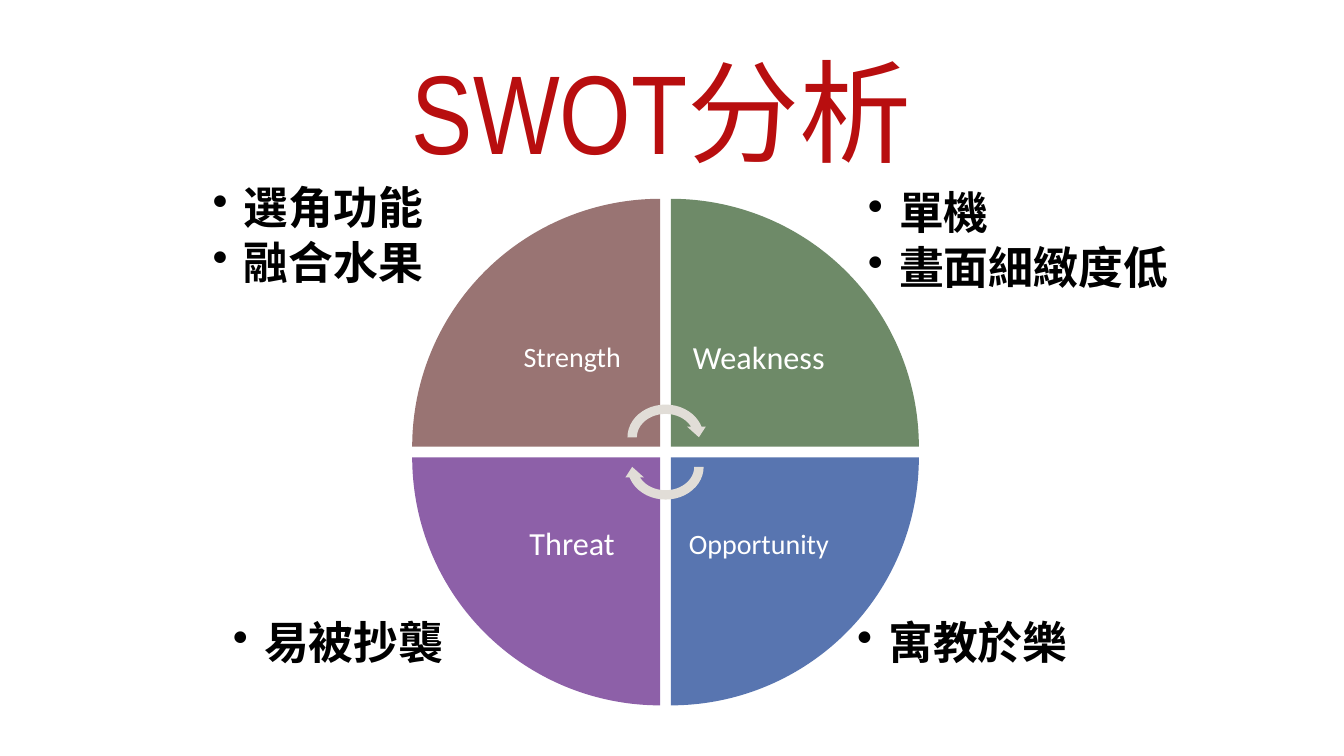
from dataclasses import dataclass

from lxml import etree
from pptx import Presentation
from pptx import util as u
from pptx.dml.color import RGBColor
from pptx.enum import shapes, text
from pptx.oxml import ns

WIDTH, HEIGHT = u.Inches(13.33), u.Inches(7.5)

RED = RGBColor(0xB8, 0x0E, 0x0F)
BROWN = RGBColor(0x99, 0x74, 0x73)
GREEN = RGBColor(0x6E, 0x8A, 0x68)
BLUE = RGBColor(0x58, 0x75, 0xB0)
PURPLE = RGBColor(0x8D, 0x60, 0xA8)
SAND = RGBColor(0xE1, 0xDD, 0xD7)
WHITE = RGBColor(0xFF, 0xFF, 0xFF)
BLACK = RGBColor(0, 0, 0)

# The wheel: its centre, and sizes as shares of the slide's height
CENTRE_X, CENTRE_Y = int(WIDTH * 0.4952), int(HEIGHT * 0.598)
WEDGE = int(HEIGHT * 0.328)
LABEL = int(HEIGHT * 0.233)
HALF_GAP = int(HEIGHT * 0.007)
ARROW_WIDTH, ARROW_HEIGHT = int(HEIGHT * 0.113), int(HEIGHT * 0.099)
ARROW_SHIFT = int(HEIGHT * 0.0195)


@dataclass(frozen=True)
class Quadrant:
    """One SWOT quarter; findings_area holds shares of the slide's width and height."""
    name: str
    name_size: int
    colour: RGBColor
    column: int
    row: int
    rotation: int
    inset: float
    findings: tuple[str, ...]
    findings_area: tuple[float, float, float, float]


QUADRANTS = (
    Quadrant("Strength", 20, BROWN, 0, 0, 0, 0.16, ("選角功能", "融合水果"),
             (0.1485, 0.228, 0.232, 0.171)),
    Quadrant("Weakness", 23, GREEN, 1, 0, 90, 0.18, ("單機", "畫面細緻度低"),
             (0.636, 0.235, 0.252, 0.181)),
    Quadrant("Opportunity", 20, BLUE, 1, 1, 180, 0.16, ("寓教於樂",),
             (0.628, 0.804, 0.256, 0.171)),
    Quadrant("Threat", 23, PURPLE, 0, 1, 270, 0.18, ("易被抄襲",),
             (0.1635, 0.804, 0.211, 0.171)),
)


def inner_corner(quadrant: Quadrant, side: int) -> tuple[int, ...]:
    """Left and top of a square that touches the wheel's centre gap."""
    return tuple(
        middle + HALF_GAP if index else middle - HALF_GAP - side
        for middle, index in ((CENTRE_X, quadrant.column), (CENTRE_Y, quadrant.row))
    )


def style_paragraph(paragraph, font_name: str, size: int, colour: RGBColor,
                    bold: bool = False) -> None:
    paragraph.line_spacing = 0.9
    for run in paragraph.runs:
        font = run.font
        font.name, font.size, font.bold = font_name, u.Pt(size), bold
        font.color.rgb = colour


def add_bullet(paragraph) -> None:
    properties = paragraph._p.get_or_add_pPr()
    indent = u.Inches(0.31)
    properties.set("marL", str(indent))
    properties.set("indent", str(-indent))
    etree.SubElement(properties, ns.qn("a:buChar"), char="•")


def add_text_box(slide, box: tuple[int, ...], inset: float, content: str):
    frame = slide.shapes.add_textbox(*box).text_frame
    frame.word_wrap = True
    frame.margin_left = frame.margin_right = u.Inches(inset)
    frame.margin_top = frame.margin_bottom = u.Inches(inset)
    frame.text = content
    return frame


def add_filled(slide, kind, box: tuple[int, ...], colour: RGBColor, rotation: int) -> None:
    shape = slide.shapes.add_shape(kind, *box)
    shape.shadow.inherit = False
    shape.fill.solid()
    shape.fill.fore_color.rgb = colour
    shape.line.fill.background()
    shape.rotation = rotation


def add_findings(slide, quadrant: Quadrant) -> None:
    """Bulleted points beside the wheel."""
    left, top, width, height = quadrant.findings_area
    box = (int(left * WIDTH), int(top * HEIGHT), int(width * WIDTH), int(height * HEIGHT))
    frame = add_text_box(slide, box, 0.13, "\n".join(quadrant.findings))
    for paragraph in frame.paragraphs:
        style_paragraph(paragraph, "Noto Sans CJK JP", 32, BLACK, bold=True)
        paragraph.space_after = u.Pt(5)
        add_bullet(paragraph)
        for run in paragraph.runs:
            etree.SubElement(run._r.get_or_add_rPr(), ns.qn("a:ea"),
                             typeface="Noto Sans CJK JP")


def add_wedge(slide, quadrant: Quadrant) -> None:
    add_filled(slide, shapes.MSO_SHAPE.PIE_WEDGE,
               (*inner_corner(quadrant, WEDGE), WEDGE, WEDGE),
               quadrant.colour, quadrant.rotation)
    frame = add_text_box(slide, (*inner_corner(quadrant, LABEL), LABEL, LABEL),
                         quadrant.inset, quadrant.name)
    frame.vertical_anchor = text.MSO_ANCHOR.MIDDLE
    label = frame.paragraphs[0]
    label.alignment = text.PP_ALIGN.CENTER
    style_paragraph(label, "Calibri", quadrant.name_size, WHITE)


def add_cycle_arrows(slide) -> None:
    for rotation, shift in ((0, -ARROW_SHIFT), (180, ARROW_SHIFT)):
        box = (CENTRE_X - ARROW_WIDTH // 2, CENTRE_Y + shift - ARROW_HEIGHT // 2,
               ARROW_WIDTH, ARROW_HEIGHT)
        add_filled(slide, shapes.MSO_SHAPE.CIRCULAR_ARROW, box, SAND, rotation)


def set_title(slide) -> None:
    title = slide.shapes.title
    title.left, title.top = int(WIDTH * 0.066), int(HEIGHT * 0.072)
    title.width, title.height = int(WIDTH * 0.853), int(HEIGHT * 0.168)
    frame = title.text_frame
    frame.text = "SWOT分析"
    frame.auto_size = text.MSO_AUTO_SIZE.NONE
    frame.vertical_anchor = text.MSO_ANCHOR.MIDDLE
    heading = frame.paragraphs[0]
    heading.alignment = text.PP_ALIGN.CENTER
    style_paragraph(heading, "Arial Narrow", 80, RED)


def main() -> None:
    deck = Presentation()
    deck.slide_width, deck.slide_height = WIDTH, HEIGHT
    slide = deck.slides.add_slide(deck.slide_layouts[5])
    set_title(slide)
    for quadrant in QUADRANTS:
        add_findings(slide, quadrant)
    for quadrant in QUADRANTS:
        add_wedge(slide, quadrant)
    add_cycle_arrows(slide)
    deck.save("out.pptx")


if __name__ == "__main__":
    main()
